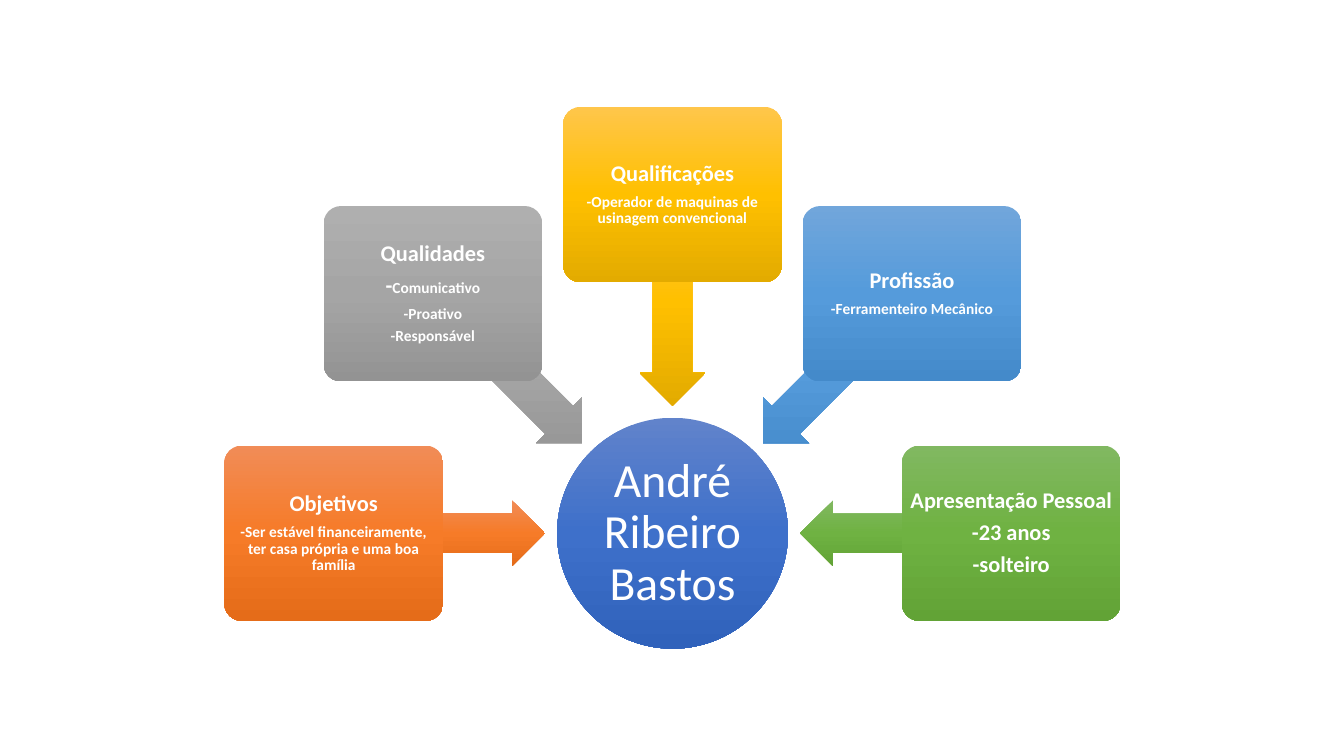
import copy
import math
from dataclasses import dataclass

import pptx
import pptx.dml.color
import pptx.enum.shapes
import pptx.enum.text
import pptx.oxml.ns
import pptx.util

Inches = pptx.util.Inches
Preset = pptx.enum.shapes.MSO_SHAPE


@dataclass(frozen=True)
class Theme:
    font: str = "Calibri"
    text: str = "FFFFFF"
    hub_size: int = 34
    title_size: int = 16
    detail_size: int = 11
    line_spacing: float = 0.9
    space_ratio: float = 0.35
    blue: tuple[str, ...] = ("6183CB", "3E70CA", "3062BB")
    orange: tuple[str, ...] = ("F18C57", "F67B28", "E56C19")
    gray: tuple[str, ...] = ("AFAFAF", "A5A5A5", "939393")
    gold: tuple[str, ...] = ("FFC64B", "FFC000", "E3AB00")
    sky: tuple[str, ...] = ("71A6DB", "559BDB", "448ACA")
    green: tuple[str, ...] = ("81B861", "6FB242", "62A336")


THEME = Theme()
TITLE, DETAIL = THEME.title_size, THEME.detail_size


@dataclass(frozen=True)
class Run:
    text: str
    size: int
    bold: bool = True


@dataclass(frozen=True)
class Topic:
    colors: tuple[str, ...]
    paragraphs: list[list[Run]]


TOPICS = [
    Topic(THEME.orange, [
        [Run("Objetivos", TITLE)],
        [Run("-Ser estável financeiramente, ter casa própria e uma boa família", DETAIL)],
    ]),
    Topic(THEME.gray, [
        [Run("Qualidades", TITLE)],
        [Run("-", TITLE), Run("Comunicativo", DETAIL)],
        [Run("-Proativo", DETAIL)],
        [Run("-Responsável", DETAIL)],
    ]),
    Topic(THEME.gold, [
        [Run("Qualificações", TITLE)],
        [Run("-Operador de maquinas de usinagem convencional", DETAIL)],
    ]),
    Topic(THEME.sky, [
        [Run("Profissão", TITLE)],
        [Run("-Ferramenteiro Mecânico", DETAIL)],
    ]),
    Topic(THEME.green, [
        [Run("Apresentação Pessoal", TITLE)],
        [Run("-23 anos", TITLE)],
        [Run("-solteiro", TITLE)],
    ]),
]

HUB_X, HUB_Y, HUB_DIAMETER = 6.67, 5.29, 2.29
BOX_WIDTH, BOX_HEIGHT, BOX_RADIUS = 2.17, 1.74, 3.36
ARROW_WIDTH, ARROW_HEIGHT, ARROW_RADIUS = 2.09, 0.65, 2.31
FIRST_ANGLE, ANGLE_STEP = 180, 45


def apply_format(target: object, values: dict[str, object]) -> None:
    for name, value in values.items():
        setattr(target, name, value)


def fill_gradient(shape, colors: tuple[str, ...]) -> None:
    shape.fill.gradient()
    shape.fill.gradient_angle = 270
    gradient = shape._element.spPr.find(pptx.oxml.ns.qn("a:gradFill"))
    gradient.set("rotWithShape", "0")
    stop_list = gradient.find(pptx.oxml.ns.qn("a:gsLst"))
    stop_list.append(copy.deepcopy(stop_list[-1]))
    for index, (stop, color) in enumerate(zip(shape.fill.gradient_stops, colors)):
        stop.position = index / (len(colors) - 1)
        stop.color.rgb = pptx.dml.color.RGBColor.from_string(color)


def add_centered_shape(slide, preset, center: tuple[float, float],
                       width: float, height: float, colors: tuple[str, ...]):
    left, top = center[0] - width / 2, center[1] - height / 2
    shape = slide.shapes.add_shape(
        preset, Inches(left), Inches(top), Inches(width), Inches(height))
    shape.shadow.inherit = False
    shape.line.fill.background()
    fill_gradient(shape, colors)
    return shape


def write_text(shape, paragraphs: list[list[Run]], inset: float) -> None:
    frame = shape.text_frame
    sides = ("margin_left", "margin_top", "margin_right", "margin_bottom")
    apply_format(frame, {
        "word_wrap": True,
        "vertical_anchor": pptx.enum.text.MSO_ANCHOR.MIDDLE,
        **dict.fromkeys(sides, Inches(inset)),
    })
    for index, runs in enumerate(paragraphs):
        paragraph = frame.add_paragraph() if index else frame.paragraphs[0]
        apply_format(paragraph, {
            "alignment": pptx.enum.text.PP_ALIGN.CENTER,
            "line_spacing": THEME.line_spacing,
            "space_after": pptx.util.Pt(runs[0].size * THEME.space_ratio),
        })
        for item in runs:
            run = paragraph.add_run()
            run.text = item.text
            apply_format(run.font, {
                "name": THEME.font,
                "size": pptx.util.Pt(item.size),
                "bold": item.bold,
            })
            run.font.color.rgb = pptx.dml.color.RGBColor.from_string(THEME.text)


def around_hub(angle: float, radius: float) -> tuple[float, float]:
    radians = math.radians(angle)
    return HUB_X + radius * math.cos(radians), HUB_Y + radius * math.sin(radians)


def add_hub(slide) -> None:
    hub = add_centered_shape(slide, Preset.OVAL, (HUB_X, HUB_Y),
                             HUB_DIAMETER, HUB_DIAMETER, THEME.blue)
    write_text(hub, [[Run("André Ribeiro Bastos", THEME.hub_size, False)]], 0.02)


def add_topic(slide, topic: Topic, angle: int) -> None:
    arrow = add_centered_shape(slide, Preset.LEFT_ARROW, around_hub(angle, ARROW_RADIUS),
                               ARROW_WIDTH, ARROW_HEIGHT, topic.colors)
    arrow.rotation = angle % 360
    arrow.adjustments[0] = 0.6
    arrow.adjustments[1] = 0.5
    box = add_centered_shape(slide, Preset.ROUNDED_RECTANGLE, around_hub(angle, BOX_RADIUS),
                             BOX_WIDTH, BOX_HEIGHT, topic.colors)
    box.adjustments[0] = 0.1
    write_text(box, topic.paragraphs, 0.03)


presentation = pptx.Presentation()
presentation.slide_width = Inches(13.33)
presentation.slide_height = Inches(7.5)
slide = presentation.slides.add_slide(presentation.slide_layouts[6])
add_hub(slide)
for position, topic in enumerate(TOPICS):
    add_topic(slide, topic, FIRST_ANGLE + position * ANGLE_STEP)
presentation.save("out.pptx")
